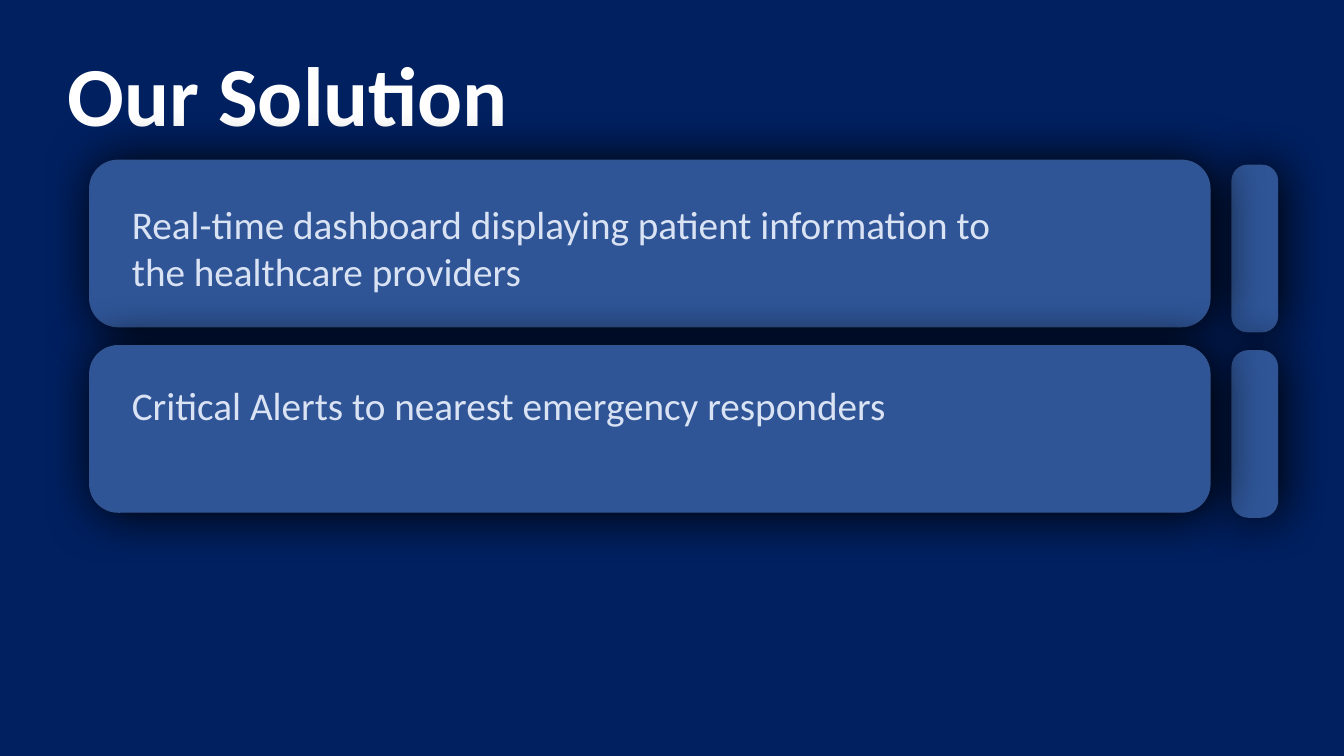
from lxml import etree
from pptx import Presentation
from pptx.dml.color import RGBColor
from pptx.enum import shapes, text
from pptx.oxml import ns
from pptx.util import Inches, Pt

FONT = "Calibri"
ROW_HEIGHT, ROW_PITCH = 1.65, 1.84
ROWS = [
    ("Real-time dashboard displaying patient information to the healthcare providers",
     0.35, 1.04, 0.34),
    ("Critical Alerts to nearest emergency responders", 0.3, 0.57, 0.36),
]


def colour(code):
    """Turn a hex string into a colour."""
    return RGBColor.from_string(code)


def write(box, words, size, code, bold=False):
    """Put one styled paragraph into a box and return it."""
    frame = box.text_frame
    frame.text = words
    frame.word_wrap = True
    frame.auto_size = text.MSO_AUTO_SIZE.NONE
    para = frame.paragraphs[0]
    para.alignment = text.PP_ALIGN.LEFT
    font = para.runs[0].font
    font.name, font.size, font.bold = FONT, Pt(size), bold
    font.color.rgb = colour(code)
    return para


def add_glow_shadow(panel):
    """Give a panel a wide, soft black shadow."""
    panel.shadow.inherit = False
    effects = panel._element.spPr.find(ns.qn("a:effectLst"))
    shadow = etree.SubElement(effects, ns.qn("a:outerShdw"), blurRad=str(Pt(36)),
                              dist=str(Pt(3)), dir="0", algn="ctr", rotWithShape="0")
    black = etree.SubElement(shadow, ns.qn("a:srgbClr"), val="000000")
    etree.SubElement(black, ns.qn("a:alpha"), val="98000")


def add_panel(page, left, top, width, height, rounding):
    """Draw one rounded blue panel."""
    panel = page.shapes.add_shape(shapes.MSO_SHAPE.ROUNDED_RECTANGLE, Inches(left),
                                  Inches(top), Inches(width), Inches(height))
    panel.adjustments[0] = rounding
    panel.fill.solid()
    panel.fill.fore_color.rgb = colour("2F5597")
    panel.line.color.rgb = colour("325491")
    panel.line.width = Pt(1)
    add_glow_shadow(panel)


def add_title(page, left, top, width, height):
    """Place and format the slide title."""
    title = page.shapes.title
    title.left, title.top = Inches(left), Inches(top)
    title.width, title.height = Inches(width), Inches(height)
    para = write(title, "Our Solution", 60, "FFFFFF", bold=True)
    para.line_spacing = 0.9
    para.space_before = Pt(10)
    title.text_frame.vertical_anchor = text.MSO_ANCHOR.MIDDLE


def add_solutions(page, left, top, width):
    """Stack the solution panels with their side tabs and wording."""
    tab_width, gap = 0.45, 0.22
    panel_width = width - tab_width - gap
    tops = [top + index * ROW_PITCH for index in range(len(ROWS))]
    for row_top, (*_, rounding) in zip(tops, ROWS):
        add_panel(page, left + panel_width + gap, row_top + 0.05, tab_width,
                  ROW_HEIGHT, rounding)
    for row_top in tops:
        add_panel(page, left, row_top, panel_width, ROW_HEIGHT, 0.17)
    for row_top, (words, offset, height, _) in zip(tops, ROWS):
        box = page.shapes.add_textbox(Inches(left + 0.32), Inches(row_top + offset),
                                      Inches(9.29), Inches(height))
        write(box, words, 28, "DAE3F3")


def build():
    """Build the slide and save the deck."""
    deck = Presentation()
    deck.slide_width, deck.slide_height = Inches(13.33), Inches(7.5)
    page = deck.slides.add_slide(deck.slide_layouts[5])
    page.background.fill.solid()
    page.background.fill.fore_color.rgb = colour("002060")
    add_title(page, 0.57, 0.55, 9.93, 0.86)
    add_solutions(page, 0.89, 1.59, 11.78)
    deck.save("out.pptx")


build()
